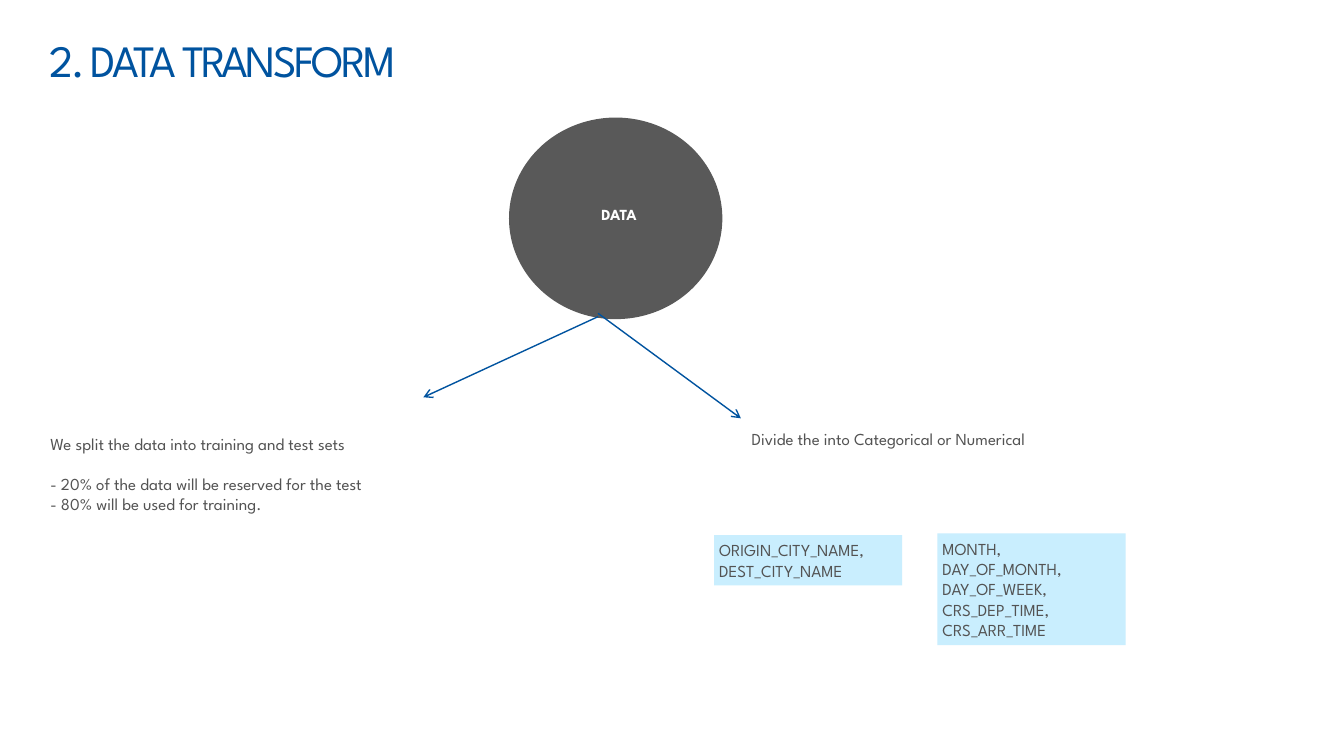
from dataclasses import dataclass
from typing import NamedTuple

from lxml.etree import SubElement
from pptx import Presentation
from pptx.dml.color import RGBColor
from pptx.enum.shapes import MSO_CONNECTOR as Conn, MSO_SHAPE as Shape
from pptx.enum.text import MSO_ANCHOR as Anchor, MSO_AUTO_SIZE as Fit, PP_ALIGN as Align
from pptx.oxml.ns import qn
from pptx.util import Emu, Inches, Pt

BLUE = RGBColor(0x00, 0x53, 0x9F)
GREY = RGBColor(0x53, 0x53, 0x53)
DARK = RGBColor(0x59, 0x59, 0x59)
PALE = RGBColor(0xC9, 0xEE, 0xFE)
WHITE = RGBColor(0xFF, 0xFF, 0xFF)
FONT = "League Spartan"
COLS, ROWS = 160, 90
CELL = Emu(76200)


class Area(NamedTuple):
    col: float
    row: float
    cols: float
    rows: float


class Arrow(NamedTuple):
    start: tuple[float, float]
    end: tuple[float, float]


@dataclass(frozen=True)
class TextStyle:
    size: float = 12
    color: RGBColor = GREY
    bold: bool = False
    align: Align = Align.LEFT
    anchor: Anchor = Anchor.MIDDLE
    inset: tuple[float, float] = (0, 0)


@dataclass(frozen=True)
class FieldBox:
    area: Area
    lines: tuple[str, ...]


TITLE_AREA = Area(5.9, 2.5, 140, 10)
SPLIT_AREA = Area(6, 51.4, 46.4, 10)
DIVIDE_AREA = Area(88.3, 50.5, 43.2, 10.9)
CIRCLE_AREA = Area(60.6, 14, 25.4, 24)
LABEL_AREA = Area(62.9, 24.4, 21.6, 2.3)
SPLIT_LINES = (
    "We split the data into training and test sets",
    "- 20% of the data will be reserved for the test",
    "- 80% will be used for training.",
)
ARROWS = (
    Arrow((71.2, 37.7), (50.4, 47.3)),
    Arrow((71.2, 37.3), (88.2, 49.8)),
)
FIELD_BOXES = (
    FieldBox(Area(85, 63.7, 22.4, 6), ("ORIGIN_CITY_NAME,", "DEST_CITY_NAME")),
    FieldBox(
        Area(111.6, 63.5, 22.4, 13.3),
        ("MONTH, DAY_OF_MONTH, DAY_OF_WEEK, CRS_DEP_TIME,", "CRS_ARR_TIME"),
    ),
)


def cells(*counts: float) -> list[Emu]:
    return [Emu(round(n * CELL)) for n in counts]


def place(sp, area: Area) -> None:
    sp.left, sp.top, sp.width, sp.height = cells(*area)


def write(sp, lines: tuple[str, ...], style: TextStyle) -> None:
    tf = sp.text_frame
    tf.text = "\n".join(lines)
    tf.word_wrap = True
    tf.auto_size = Fit.NONE
    tf.vertical_anchor = style.anchor
    side, edge = map(Inches, style.inset)
    tf.margin_left = tf.margin_right = side
    tf.margin_top = tf.margin_bottom = edge
    for p in tf.paragraphs:
        p.alignment = style.align
        p.space_before = Pt(0)
        for r in p.runs:
            r.font.name = FONT
            r.font.size = Pt(style.size)
            r.font.bold = style.bold
            r.font.color.rgb = style.color


def add_text(slide, area: Area, lines: tuple[str, ...], style: TextStyle) -> None:
    write(slide.shapes.add_textbox(*cells(*area)), lines, style)


def add_filled(slide, kind: Shape, area: Area, color: RGBColor):
    sp = slide.shapes.add_shape(kind, *cells(*area))
    sp.shadow.inherit = False
    sp.fill.solid()
    sp.fill.fore_color.rgb = color
    sp.line.fill.background()
    return sp


def add_arrow(slide, arrow: Arrow) -> None:
    line = slide.shapes.add_connector(Conn.STRAIGHT, *cells(*arrow.start, *arrow.end))
    line.line.color.rgb = BLUE
    line.line.width = Pt(1)
    SubElement(line.line._get_or_add_ln(), qn("a:tailEnd"), type="arrow")
    SubElement(line._element.spPr, qn("a:effectLst"))


def fill_title(title) -> None:
    place(title, TITLE_AREA)
    write(title, ("2. DATA TRANSFORM",), TextStyle(size=32, color=BLUE))
    p = title.text_frame.paragraphs[0]
    p.line_spacing = 0.9
    p.runs[0]._r.get_or_add_rPr().set("spc", "-190")


def fill_split_list(body) -> None:
    """Fill the body with the split rules, without template bullets."""
    place(body, SPLIT_AREA)
    write(body, SPLIT_LINES, TextStyle())
    paragraphs = body.text_frame.paragraphs
    paragraphs[1].space_before = Pt(14.4)
    for p in paragraphs:
        pPr = p._p.get_or_add_pPr()
        pPr.set("marL", "0")
        pPr.set("indent", "0")
        SubElement(pPr, qn("a:buNone"))


def main() -> None:
    prs = Presentation()
    prs.slide_width, prs.slide_height = cells(COLS, ROWS)
    slide = prs.slides.add_slide(prs.slide_layouts[1])
    fill_title(slide.shapes.title)
    fill_split_list(slide.placeholders[1])
    add_text(
        slide,
        DIVIDE_AREA,
        ("Divide the into Categorical or Numerical",),
        TextStyle(anchor=Anchor.TOP, inset=(0.1, 0.05)),
    )
    add_filled(slide, Shape.OVAL, CIRCLE_AREA, DARK)
    label = TextStyle(11, WHITE, bold=True, align=Align.CENTER, anchor=Anchor.TOP)
    add_text(slide, LABEL_AREA, ("DATA",), label)
    for arrow in ARROWS:
        add_arrow(slide, arrow)
    for box in FIELD_BOXES:
        sp = add_filled(slide, Shape.RECTANGLE, box.area, PALE)
        write(sp, box.lines, TextStyle(inset=(0.05, 0.05)))
    prs.save("out.pptx")


if __name__ == "__main__":
    main()
